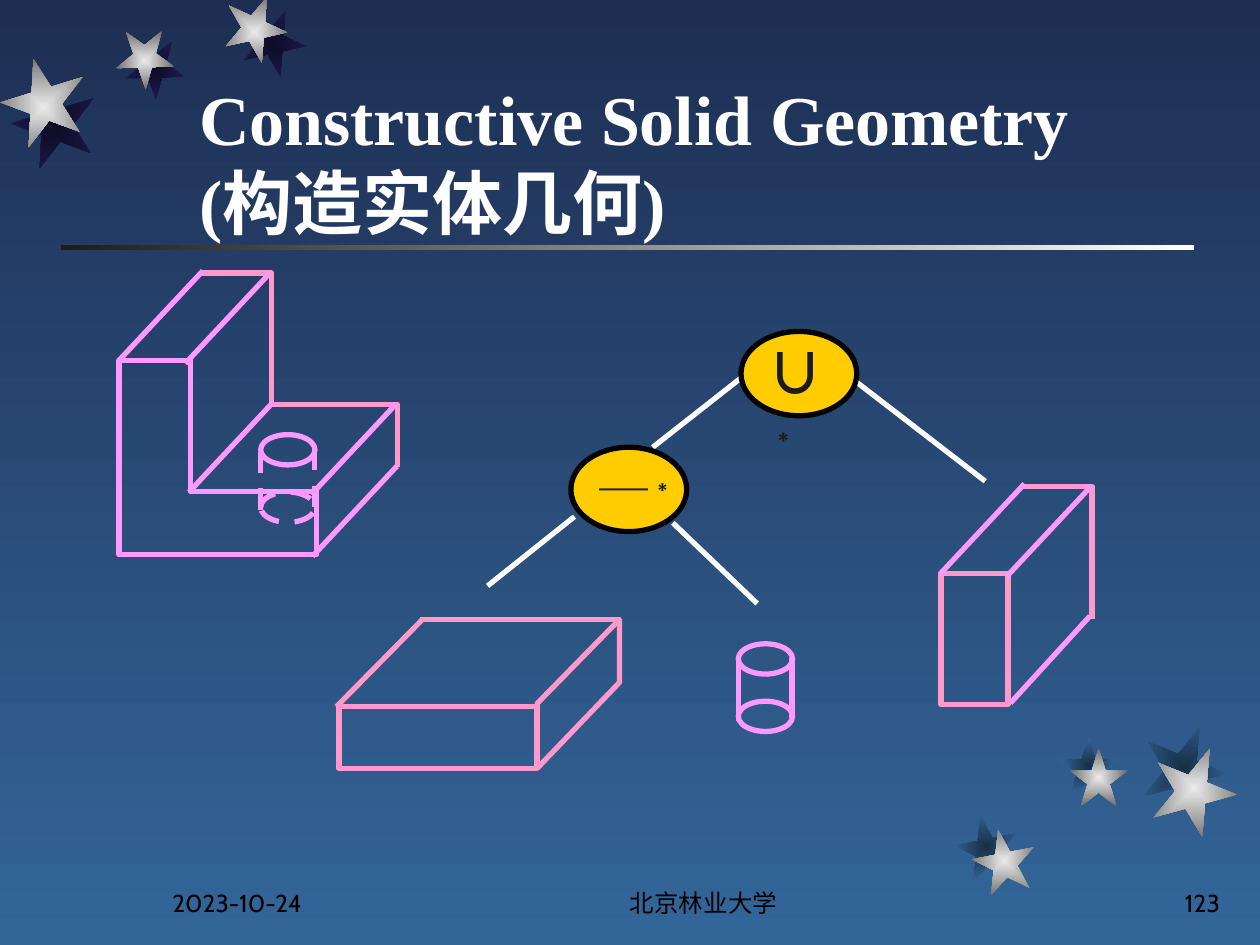
import pptx
import pptx.dml.color
import pptx.enum.dml
import pptx.enum.shapes
import pptx.enum.text
import pptx.oxml
import pptx.oxml.ns
import pptx.util

Pt = pptx.util.Pt
SHAPE = pptx.enum.shapes.MSO_SHAPE
ALIGN = pptx.enum.text.PP_ALIGN
ANCHOR = pptx.enum.text.MSO_ANCHOR

COLORS = {
    "sky_top": "1E2E53", "sky_bottom": "336699",
    "star_light": "EAEAEA", "star_dark": "6C6C6C",
    "night_dark": "0E0C26", "night_light": "1E1A53",
    "dusk_dark": "182F47", "ink": "1C1C1C",
    "white": "FFFFFF", "black": "000000",
    "violet": "FF99FF", "pink": "FF99CC", "gold": "FFCC00",
}
CJK_FONT = "Noto Sans CJK SC"
DEPTH_X, DEPTH_Y = -48.2, 51.5


def rgb(name):
    return pptx.dml.color.RGBColor.from_string(COLORS[name])


class SlideBuilder:
    """Holds the slide, its line style and the shape tree being drawn into."""

    line_width = 3

    def __init__(self, slide):
        self.slide = slide
        self.shapes = slide.shapes

    def open_group(self):
        self.shapes = self.slide.shapes.add_group_shape().shapes

    def close_group(self):
        self.shapes = self.slide.shapes

    def gradient(self, fill, first, last, angle=0):
        fill.gradient()
        fill.gradient_angle = angle
        for stop, name, position in zip(fill.gradient_stops, (first, last), (0, 1)):
            stop.color.rgb = rgb(name)
            stop.position = position

    def stroke(self, line, color, dashed=False):
        line.color.rgb = rgb(color)
        line.width = Pt(self.line_width)
        if dashed:
            line.dash_style = pptx.enum.dml.MSO_LINE.DASH

    def preset(self, kind, left, top, width, height):
        shape = self.shapes.add_shape(kind, Pt(left), Pt(top), Pt(width), Pt(height))
        shape.shadow.inherit = False
        shape.fill.background()
        shape.line.fill.background()
        return shape

    def outline(self, kind, box, color, fill=None, dashed=False):
        shape = self.preset(kind, *box)
        if fill:
            shape.fill.solid()
            shape.fill.fore_color.rgb = rgb(fill)
        self.stroke(shape.line, color, dashed)

    def star(self, left, top, size, rotation, colors):
        """Five-pointed star shaded outward from its centre."""
        shape = self.preset(SHAPE.STAR_5_POINT, left, top, size, size)
        shape.rotation = rotation
        self.gradient(shape.fill, *colors)
        linear = shape._element.spPr.find(".//" + pptx.oxml.ns.qn("a:lin"))
        linear.getparent().replace(linear, pptx.oxml.parse_xml(
            f'<a:path {pptx.oxml.ns.nsdecls("a")} path="rect">'
            '<a:fillToRect l="50000" t="50000" r="50000" b="50000"/></a:path>'))

    def polyline(self, points, color, close=False):
        builder = self.shapes.build_freeform(*points[0], scale=Pt(1))
        builder.add_line_segments(points[1:], close=close)
        shape = builder.convert_to_shape()
        shape.shadow.inherit = False
        shape.fill.background()
        self.stroke(shape.line, color)

    def line(self, x1, y1, x2, y2, color, dashed=False):
        connector = self.shapes.add_connector(
            pptx.enum.shapes.MSO_CONNECTOR.STRAIGHT, Pt(x1), Pt(y1), Pt(x2), Pt(y2))
        self.stroke(connector.line, color, dashed)
        pptx.oxml.ns.qn("a:effectLst")
        connector._element.spPr.append(pptx.oxml.parse_xml(
            f'<a:effectLst {pptx.oxml.ns.nsdecls("a")}/>'))

    def depth_edges(self, starts):
        """Parallel receding edges of a solid."""
        for x, y in starts:
            self.line(x, y, x + DEPTH_X, y + DEPTH_Y, "violet")

    def cylinder(self, left, top, dashed=False):
        self.outline(SHAPE.OVAL, (left, top, 31, 17.3), "violet")
        self.outline(SHAPE.OVAL, (left, top + 32.8, 31, 17.3), "violet", dashed=dashed)
        for x, y in ((left, top + 9.7), (left + 30.7, top + 8.3)):
            self.line(x, y, x, y + 34.2, "violet", dashed)

    def format_run(self, run, color, **values):
        for name, value in values.items():
            setattr(run.font, name, value)
        run.font.color.rgb = rgb(color)
        properties = run._r.get_or_add_rPr()
        properties.find(pptx.oxml.ns.qn("a:latin")).addnext(pptx.oxml.parse_xml(
            f'<a:ea {pptx.oxml.ns.nsdecls("a")} typeface="{CJK_FONT}"/>'))
        return properties

    def text_box(self, left, top, width, height, anchor=ANCHOR.TOP, alignment=ALIGN.LEFT):
        """Return the first paragraph of a new text box."""
        frame = self.shapes.add_textbox(
            Pt(left), Pt(top), Pt(width), Pt(height)).text_frame
        frame.word_wrap = True
        frame.vertical_anchor = anchor
        paragraph = frame.paragraphs[0]
        paragraph.alignment = alignment
        return paragraph

    def footer(self, text, left, width, alignment):
        run = self.text_box(left, 491.8, width, 36, ANCHOR.BOTTOM, alignment).add_run()
        run.text = text
        self.format_run(run, "black", size=Pt(14), name="Cabin")

    def operator(self, symbol, size, *box):
        """Set operator followed by a raised asterisk."""
        paragraph = self.text_box(*box)
        for text, font in ((symbol, CJK_FONT), ("∗", "Arial")):
            run = paragraph.add_run()
            run.text = text
            properties = self.format_run(run, "ink", size=Pt(size), name=font, bold=True)
            if text == "∗":
                properties.set("baseline", "30000")

    def title(self, text, left, top, width, height):
        shape = self.slide.shapes.title
        box = {"left": left, "top": top, "width": width, "height": height}
        for name, value in box.items():
            setattr(shape, name, Pt(value))
        frame = shape.text_frame
        frame.auto_size = pptx.enum.text.MSO_AUTO_SIZE.NONE
        frame.vertical_anchor = ANCHOR.BOTTOM
        frame.text = text
        paragraph = frame.paragraphs[0]
        paragraph.alignment = ALIGN.LEFT
        for run in paragraph.runs:
            self.format_run(run, "white", size=Pt(40), name="Times New Roman", bold=True)


def draw_stars(builder):
    night, dusk = ("night_dark", "night_light"), ("dusk_dark", "sky_bottom")
    for left, top, size, rotation, shift_x, shift_y, shade in (
            (127.6, 0.3, 36, 167.3, 10.6, 7.8, night),
            (66.2, 18, 33.1, 178.3, 5.8, 5.8, night),
            (0.6, 37.4, 48.2, 200.3, 6.3, 12.1, night),
            (555.8, 473.8, 36, 349, -10.1, -7.9, dusk),
            (611.3, 427.7, 33.1, 0, -5.8, -6.5, dusk),
            (658.1, 426.2, 48.2, 22, -5.8, -12, dusk)):
        builder.star(left + shift_x, top + shift_y, size, rotation, shade)
        builder.star(left, top, size, rotation, ("star_light", "star_dark"))


def draw_result_solid(builder):
    builder.open_group()
    builder.polyline([(67.7, 316.8), (180.7, 316.8), (180.7, 280.8), (108.7, 280.8),
                      (108.7, 205.9), (67.7, 205.9)], "violet", close=True)
    builder.polyline([(115.2, 155.5), (154.8, 155.5), (154.8, 231.1),
                      (226.8, 231.1), (226.8, 267.1)], "pink")
    builder.depth_edges([(115.9, 154.8), (154.1, 156.2), (156.2, 229.7),
                         (226.1, 231.1), (226.8, 266.4)])
    builder.cylinder(149, 248.4, dashed=True)
    builder.close_group()


def draw_tree(builder):
    for edge in ((423.4, 216, 373, 255.6), (484.6, 214.6, 563, 275),
                 (328.3, 295.2, 278.6, 334.8), (384.5, 298.8, 432.7, 344.9)):
        builder.line(*edge, "white")
    for left, top in ((423.4, 189.4), (326.2, 255.6)):
        builder.outline(SHAPE.OVAL, (left, top, 66.2, 48.2), "black", fill="gold")
    builder.operator("∪", 32, 431.3, 190.1, 49.7, 46.1)
    builder.operator("─", 28, 335.5, 259.2, 58.3, 41)


def draw_primitives(builder):
    builder.open_group()
    builder.cylinder(421.9, 367.9)

    builder.open_group()
    builder.outline(SHAPE.RECTANGLE, (193.7, 403.9, 113, 35.3), "pink")
    builder.polyline([(306.7, 439.2), (354.2, 389.5), (354.2, 354.2), (306.7, 402.5)],
                     "pink", close=True)
    builder.line(239.8, 354.2, 354.2, 354.2, "pink")
    builder.line(241.2, 354.2, 192.2, 403.9, "pink")

    builder.open_group()
    builder.outline(SHAPE.RECTANGLE, (537.8, 327.6, 38.2, 74.9), "pink")
    builder.polyline([(583.9, 277.9), (623.5, 277.9), (623.5, 353.5)], "pink")
    builder.depth_edges([(585.4, 276.5), (623.5, 277.9)])
    builder.line(622.8, 352.1, 577.4, 401.8, "violet")
    builder.close_group()


def main():
    presentation = pptx.Presentation()
    presentation.slide_width, presentation.slide_height = Pt(720), Pt(540)
    slide = presentation.slides.add_slide(presentation.slide_layouts[5])
    builder = SlideBuilder(slide)
    builder.gradient(slide.background.fill, "sky_top", "sky_bottom", angle=270)
    rule = builder.preset(SHAPE.RECTANGLE, 34.6, 140.2, 648, 2.5)
    builder.gradient(rule.fill, "ink", "white")
    draw_stars(builder)
    builder.footer("2023-10-24", 91.4, 149.8, ALIGN.LEFT)
    builder.footer("北京林业大学", 288, 228.2, ALIGN.CENTER)
    builder.footer("123", 554.4, 149.8, ALIGN.RIGHT)
    builder.title("Constructive Solid Geometry\v(构造实体几何)", 106.6, 27.4, 540, 115.2)
    draw_result_solid(builder)
    draw_tree(builder)
    draw_primitives(builder)
    presentation.save("out.pptx")


if __name__ == "__main__":
    main()
